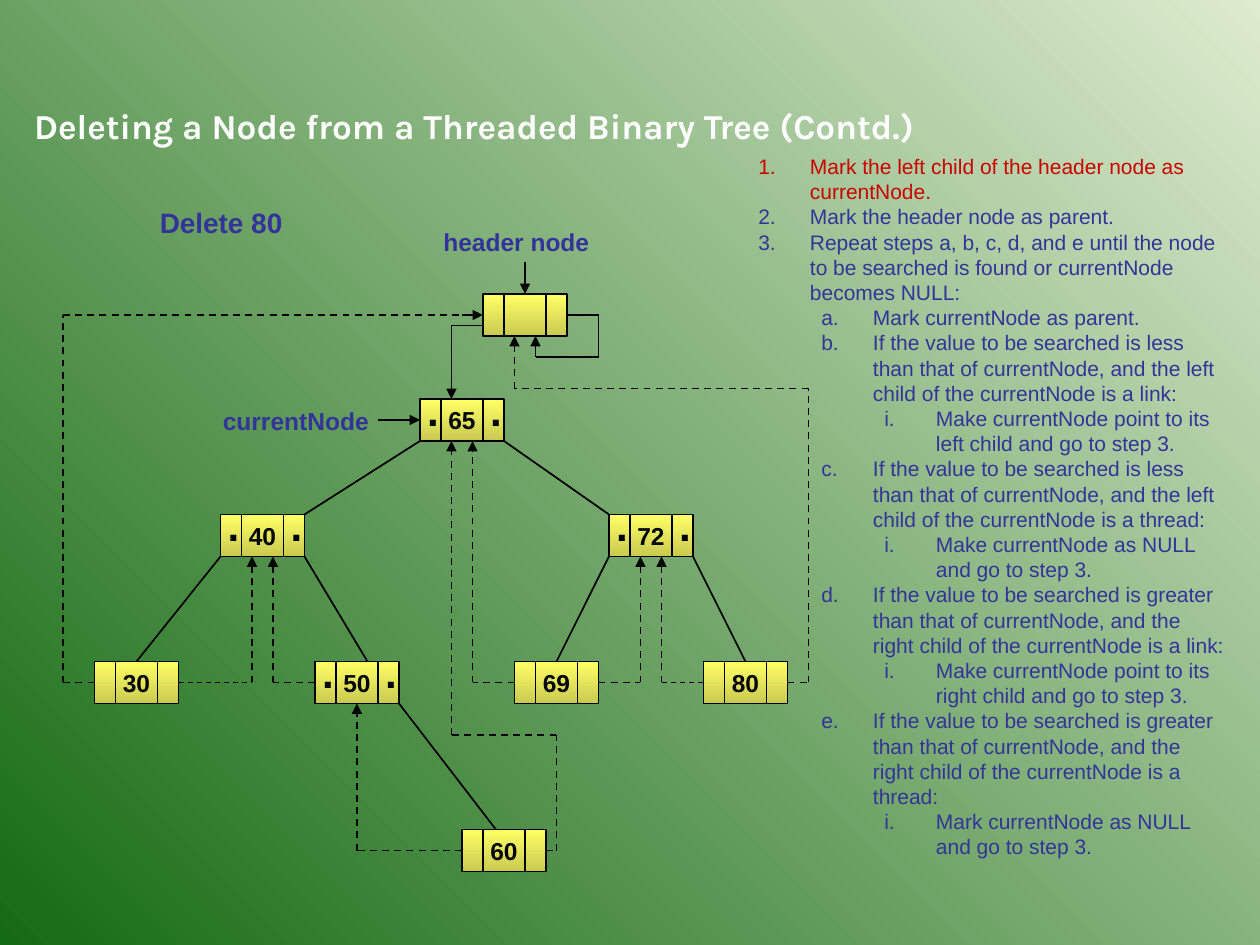
from collections import namedtuple
from itertools import pairwise

from lxml import etree
from pptx import Presentation
from pptx import util as u
from pptx.dml.color import RGBColor
from pptx.enum import dml, shapes, text
from pptx.oxml import ns

Theme = namedtuple("Theme", "pale dark light gold ink blue red white "
                            "font head title big node dot body")
theme = Theme("DDEBCF", "156B13", "FFFF66", "CACA51", "000000", "333399",
              "CC0000", "FFFFFF", "Arial", "Karla", 20, 16, 14, 24, 12)
rgb = RGBColor.from_string
GRID = 12  # grid steps to the inch; the tree sits on this grid

deck = Presentation()
deck.slide_width, deck.slide_height = u.Inches(10), u.Inches(7.5)
slide = deck.slides.add_slide(deck.slide_layouts[5])
parts = slide.shapes


def style(para, size, color, bold=True, face=theme.font):
    for run in para.runs:
        run.font.size, run.font.bold, run.font.name = u.Pt(size), bold, face
        run.font.color.rgb = rgb(color)


def route(spots, dash=False, arrow=False, first=1):
    """Join grid points with straight lines; the first may be thinner."""
    legs = list(pairwise(spots))
    for i, (start, end) in enumerate(legs):
        leg = parts.add_connector(shapes.MSO_CONNECTOR.STRAIGHT,
                                  *(u.Inches(n / GRID) for n in start + end))
        leg.line.color.rgb = rgb(theme.ink)
        leg.line.width = u.Pt(first if i == 0 else 1)
        if dash:
            leg.line.dash_style = dml.MSO_LINE.DASH
        if arrow and i == len(legs) - 1:
            etree.SubElement(leg.line._ln, ns.qn("a:tailEnd"), type="triangle")
        etree.SubElement(leg._element.spPr, ns.qn("a:effectLst"))


# Background
fill = slide.background.fill
fill.gradient()
fill.gradient_angle = 225
for stop, color in zip(fill.gradient_stops, (theme.pale, theme.dark)):
    stop.color.rgb = rgb(color)

# Title
title = parts.title
title.left, title.top = u.Inches(0.17), u.Inches(0.78)
title.width, title.height = u.Inches(8.33), u.Inches(0.44)
frame = title.text_frame
frame.text = "Deleting a Node from a Threaded Binary Tree (Contd.)"
frame.auto_size = text.MSO_AUTO_SIZE.NONE
frame.vertical_anchor = text.MSO_ANCHOR.TOP
frame.paragraphs[0].alignment = text.PP_ALIGN.LEFT
style(frame.paragraphs[0], theme.title, theme.white, face=theme.head)

# Links from parent to child
for link in (
    [(40, 42), (29, 49)], [(48, 42), (58, 49)],
    [(21, 53), (13, 63)], [(29, 53), (35, 63)],
    [(58, 53), (53, 63)], [(66, 53), (71, 63)],
    [(38, 67), (48, 80)],
):
    route(link)

# Nodes: value, grid place, whether both child fields hold links
for value, x, y, linked in (
    ("", 46, 28, False), ("65", 40, 38, True),
    ("40", 21, 49, True), ("72", 58, 49, True),
    ("30", 9, 63, False), ("50", 30, 63, True),
    ("69", 49, 63, False), ("80", 67, 63, False),
    ("60", 44, 79, False),
):
    node = parts.add_shape(shapes.MSO_SHAPE.RECTANGLE,
                           *(u.Inches(n / GRID) for n in (x, y, 8, 4)))
    node.shadow.inherit = False
    node.fill.gradient()
    node.fill.gradient_angle = 270
    for stop, color in zip(node.fill.gradient_stops, (theme.light, theme.gold)):
        stop.color.rgb = rgb(color)
    node.line.color.rgb = rgb(theme.ink)
    node.line.width = u.Pt(1)
    if value:
        frame = node.text_frame
        frame.text = value
        frame.word_wrap = False
        frame.vertical_anchor = text.MSO_ANCHOR.MIDDLE
        frame.paragraphs[0].alignment = text.PP_ALIGN.CENTER
        style(frame.paragraphs[0], theme.node, theme.ink)
    for split in (2, 6):
        route([(x + split, y), (x + split, y + 4)])
    if linked:
        for shift in (-0.5, 5.5):
            dot = parts.add_textbox(u.Inches((x + shift) / GRID),
                                    u.Inches((y - 2) / GRID),
                                    u.Inches(0.29), u.Inches(0.5))
            dot.text_frame.text = "."
            dot.text_frame.word_wrap = False
            style(dot.text_frame.paragraphs[0], theme.dot, theme.ink)

# Threads
route([(9, 65), (6, 65), (6, 30), (44, 30)], dash=True)
route([(44, 30), (46, 30)], arrow=True)
for thread in (
    [(75, 65), (77, 65), (77, 37), (49, 37), (49, 32)],
    [(57, 65), (61, 65), (61, 53)],
    [(49, 65), (45, 65), (45, 42)],
    [(52, 81), (53, 81), (53, 70), (43, 70), (43, 42)],
    [(44, 81), (34, 81), (34, 67)],
    [(30, 65), (26, 65), (26, 53)],
):
    route(thread, dash=True, arrow=True)
for thread in ([(17, 65), (24, 65), (24, 53)], [(67, 65), (63, 65), (63, 53)]):
    route(thread, dash=True, arrow=True, first=0.75)

# Header links and pointers
route([(46, 31), (43, 31), (43, 38)], arrow=True)
route([(54, 30), (57, 30), (57, 34), (51, 34), (51, 32)], arrow=True)
route([(50, 25), (50, 28)], arrow=True)
route([(36, 40), (40, 40)], arrow=True, first=0.75)

# Labels
for words, x, y, wide, high, size in (
    ("Delete 80", 1.17, 1.58, 1.5, 0.37, theme.big),
    ("header node", 3.42, 1.75, 1.58, 0.34, theme.node),
    ("currentNode", 1.67, 3.17, 1.42, 0.34, theme.node),
):
    label = parts.add_textbox(*(u.Inches(n) for n in (x, y, wide, high)))
    label.text_frame.text = words
    label.text_frame.word_wrap = True
    style(label.text_frame.paragraphs[0], size, theme.blue)

# Numbered steps: level and wording
steps = (
    (0, "Mark the left child of the header node as currentNode."),
    (0, "Mark the header node as parent."),
    (0, "Repeat steps a, b, c, d, and e until the node to be searched is "
        "found or currentNode becomes NULL:"),
    (1, "Mark currentNode as parent."),
    (1, "If the value to be searched is less than that of currentNode, and "
        "the left child of the currentNode is a link:"),
    (2, "Make currentNode point to its left child and go to step 3."),
    (1, "If the value to be searched is less than that of currentNode, and "
        "the left child of the currentNode is a thread:"),
    (2, "Make currentNode as NULL and go to step 3."),
    (1, "If the value to be searched is greater than that of currentNode, and "
        "the right child of the currentNode is a link:"),
    (2, "Make currentNode point to its right child and go to step 3."),
    (1, "If the value to be searched is greater than that of currentNode, and "
        "the right child of the currentNode is a thread:"),
    (2, "Mark currentNode as NULL and go to step 3."),
)
marks = ("arabicPeriod", "alphaLcPeriod", "romanLcPeriod")
box = parts.add_textbox(u.Inches(5.92), u.Inches(1.17),
                        u.Inches(3.92), u.Inches(5.7))
frame = box.text_frame
frame.word_wrap = True
frame.text = "\n".join(words for _, words in steps)
for i, (para, (level, _)) in enumerate(zip(frame.paragraphs, steps)):
    color = theme.blue if i else theme.red
    para.level = level
    para.line_spacing = u.Pt(14.4)
    props = para._p.get_or_add_pPr()
    props.set("marL", str(u.Inches(0.41 + 0.5 * level)))
    props.set("indent", str(u.Inches(-0.41)))
    tint = etree.SubElement(props, ns.qn("a:buClr"))
    etree.SubElement(tint, ns.qn("a:srgbClr"), val=color)
    etree.SubElement(props, ns.qn("a:buFont"), typeface=theme.font)
    etree.SubElement(props, ns.qn("a:buAutoNum"), type=marks[level])
    style(para, theme.body, color, bold=False)

deck.save("out.pptx")
